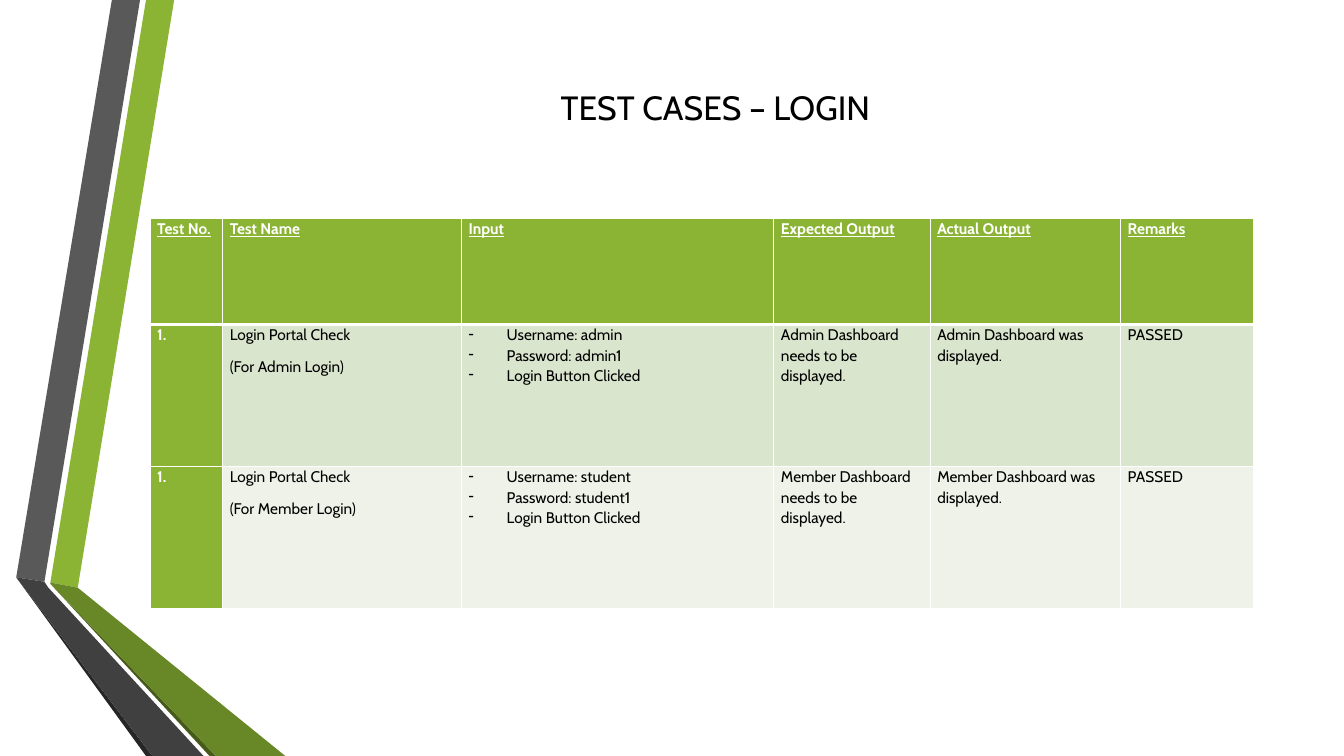
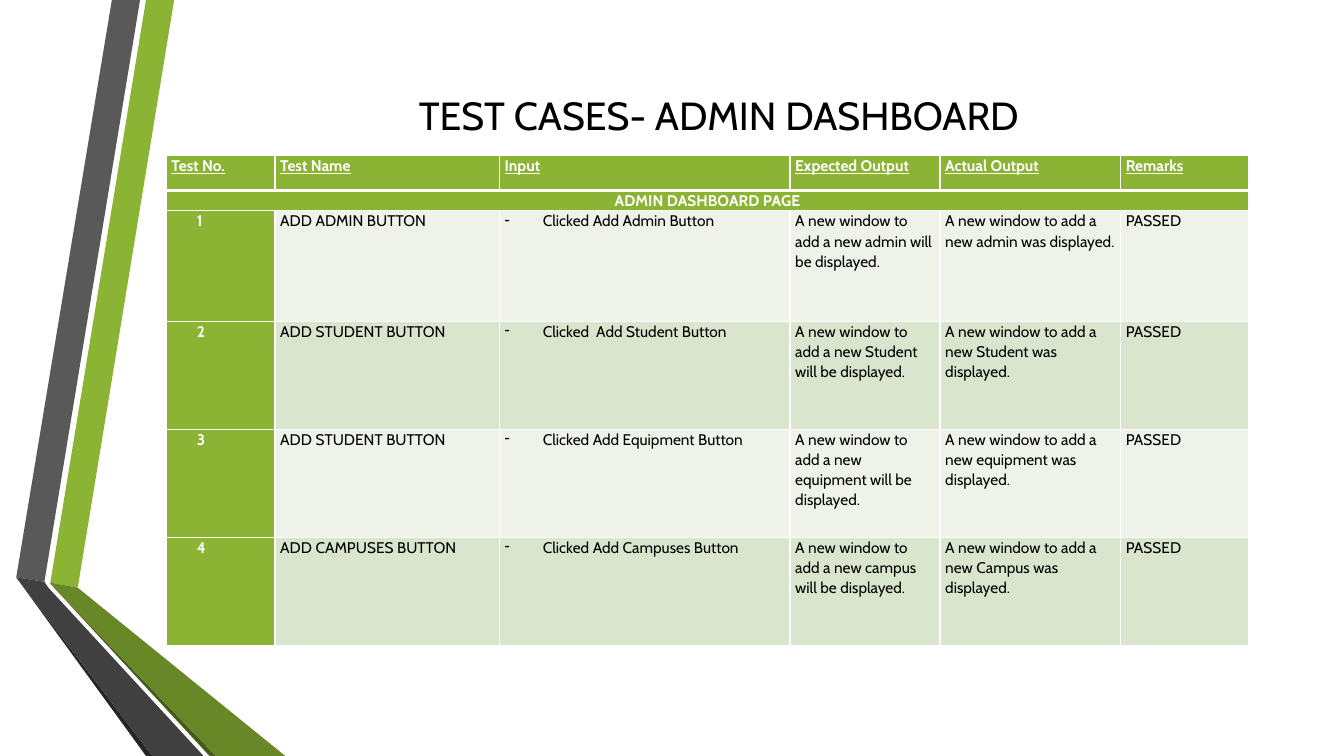
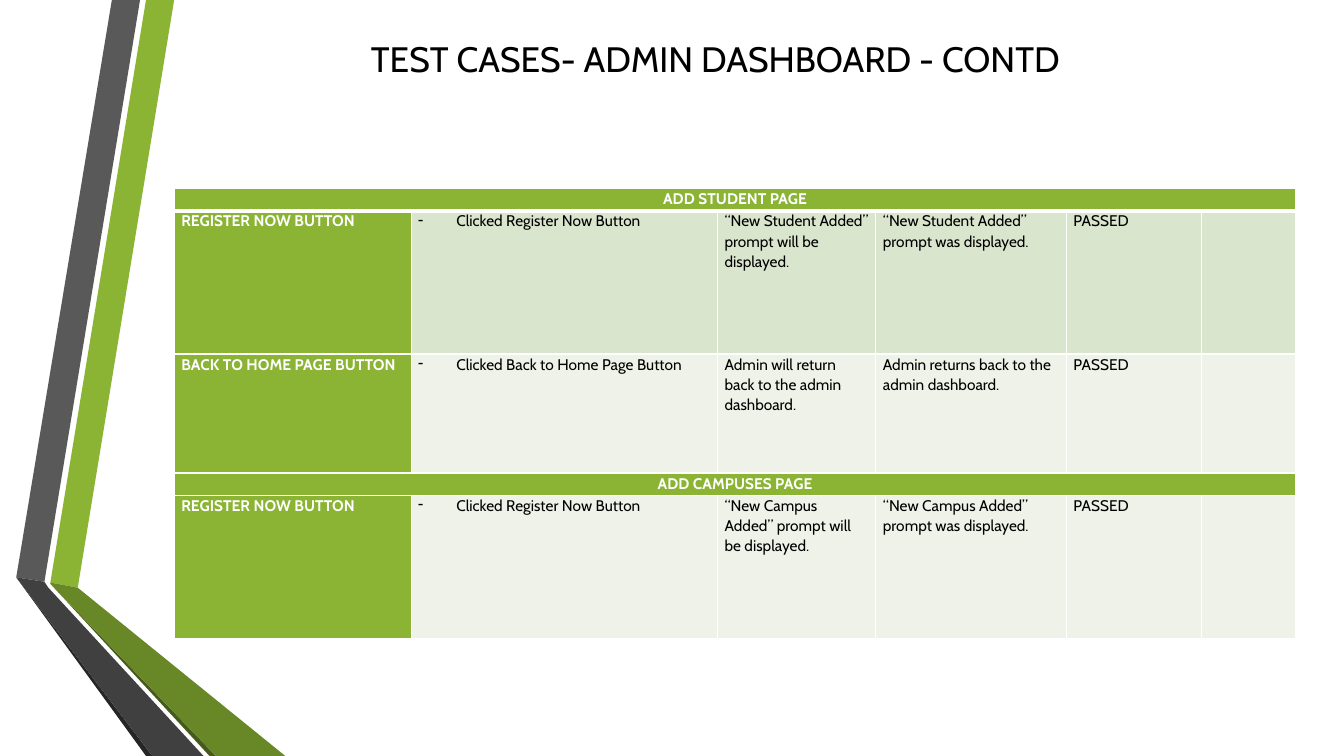
from lxml import etree
from pptx import Presentation, util as u
from pptx.dml.color import RGBColor
from pptx.enum import text
from pptx.oxml.ns import qn

FONT = "Cabin"
BLACK = RGBColor(0x00, 0x00, 0x00)
WHITE = RGBColor(0xFF, 0xFF, 0xFF)
GREEN = RGBColor(0x8B, 0xB4, 0x34)
OLIVE = RGBColor(0x68, 0x87, 0x27)
DARK_OLIVE = RGBColor(0x46, 0x5A, 0x1A)
GRAY = RGBColor(0x59, 0x59, 0x59)
DARK_GRAY = RGBColor(0x40, 0x40, 0x40)
CHARCOAL = RGBColor(0x26, 0x26, 0x26)
BANDS = (RGBColor(0xEE, 0xF2, 0xE8), RGBColor(0xDA, 0xE5, 0xCE))

HANGING = u.Cm(0.96)
THIN, THICK = u.Pt(1), u.Pt(3)

RIBBONS = [
    (GREEN, [(1.27, 14.68), (1.96, 14.81), (4.39, 0), (3.68, 0)]),
    (GRAY, [(3.53, 0), (2.82, 0), (0.41, 14.55), (1.12, 14.66)]),
    (CHARCOAL, [(0.41, 14.55), (3.68, 19.05), (3.84, 19.05)]),
    (DARK_OLIVE, [(1.27, 14.71), (5.28, 19.05), (5.44, 19.05)]),
    (OLIVE, [(1.27, 14.68), (1.27, 14.71), (5.44, 19.05), (7.19, 19.05), (1.96, 14.81)]),
    (DARK_GRAY, [(5.13, 19.05), (1.22, 14.81), (1.12, 14.66), (0.41, 14.55), (3.84, 19.05)]),
]

HEADER = ("Test No.", "Test Name", "Input", "Expected Output", "Actual Output", "Remarks")

SLIDES = [
    {
        "title": "TEST CASES – LOGIN", "size": 24, "title_box": (4.11, 1.9, 27.84, 1.57),
        "corner": (3.78, 5.51), "inset": 0.18, "number_indent": 0,
        "columns": (1.83, 6.02, 7.87, 3.94, 4.8, 3.35), "heights": (2.67, 3.58, 3.58),
        "rows": [
            HEADER,
            ("1.", "Login Portal Check\n(For Admin Login)",
             ["Username: admin", "Password: admin1", "Login Button Clicked"],
             "Admin Dashboard needs to be displayed.", "Admin Dashboard was displayed.", "PASSED"),
            ("1.", "Login Portal Check\n(For Member Login)",
             ["Username: student", "Password: student1", "Login Button Clicked"],
             "Member Dashboard needs to be displayed.", "Member Dashboard was displayed.", "PASSED"),
        ],
    },
    {
        "title": "TEST CASES- ADMIN DASHBOARD", "size": 28, "title_box": (4.19, 2.01, 27.84, 1.78),
        "corner": (4.19, 3.91), "inset": 0.13, "number_indent": 0.64,
        "columns": (2.74, 5.66, 7.32, 3.78, 4.55, 3.23),
        "heights": (0.89, 0.43, 2.79, 2.72, 2.72, 2.72),
        "rows": [
            HEADER,
            ("ADMIN DASHBOARD PAGE",),
            ("1", "ADD ADMIN BUTTON", ["Clicked Add Admin Button"],
             "A new window to add a new admin will be displayed.",
             "A new window to add a new admin was displayed.", "PASSED"),
            ("2", "ADD STUDENT BUTTON", ["Clicked  Add Student Button"],
             "A new window to add a new Student will be displayed.",
             "A new window to add a new Student was displayed.", "PASSED"),
            ("3", "ADD STUDENT BUTTON", ["Clicked Add Equipment Button"],
             "A new window to add a new equipment will be displayed.",
             "A new window to add a new equipment was displayed.", "PASSED"),
            ("4", "ADD CAMPUSES BUTTON", ["Clicked Add Campuses Button"],
             "A new window to add a new campus will be displayed.",
             "A new window to add a new Campus was displayed.", "PASSED"),
        ],
    },
    {
        "title": "TEST CASES- ADMIN DASHBOARD - CONTD", "size": 25.2,
        "title_box": (4.11, 0.91, 27.84, 1.12),
        "corner": (4.39, 4.75), "inset": 0.18, "number_indent": 0,
        "columns": (5.97, 7.72, 3.99, 4.8, 3.4, 2.39), "heights": (0.56, 3.61, 3, 0.56, 3.61),
        "rows": [
            ("ADD STUDENT PAGE",),
            ("REGISTER NOW BUTTON", ["Clicked Register Now Button"],
             "“New Student Added” prompt will be displayed.",
             "“New Student Added” prompt was displayed.", "PASSED", ""),
            ("BACK TO HOME PAGE BUTTON", ["Clicked Back to Home Page Button"],
             "Admin will return back to the admin dashboard.",
             "Admin returns back to the admin dashboard.", "PASSED", ""),
            ("ADD CAMPUSES PAGE",),
            ("REGISTER NOW BUTTON", ["Clicked Register Now Button"],
             "“New Campus Added” prompt will be displayed.",
             "“New Campus Added” prompt was displayed.", "PASSED", ""),
        ],
    },
]


def style_font(font, size, color, bold=False, underline=False):
    font.name = FONT
    font.size = u.Pt(size)
    font.color.rgb = color
    font.bold = bold
    font.underline = underline


def add_ribbons(page, layout):
    for depth, (color, points) in enumerate(RIBBONS, start=2):
        corners = [(u.Cm(x), u.Cm(y)) for x, y in points]
        builder = page.shapes.build_freeform(*corners[0])
        builder.add_line_segments(corners[1:], close=True)
        ribbon = builder.convert_to_shape()
        ribbon.shadow.inherit = False
        ribbon.fill.solid()
        ribbon.fill.fore_color.rgb = color
        ribbon.line.fill.background()
        layout.shapes.element.insert(depth, ribbon.element)


def set_title(page, content):
    title = page.shapes.title
    title.left, title.top, title.width, title.height = map(u.Cm, content["title_box"])
    frame = title.text_frame
    frame.text = content["title"]
    frame.word_wrap = True
    frame.auto_size = text.MSO_AUTO_SIZE.NONE
    frame.vertical_anchor = text.MSO_ANCHOR.MIDDLE
    para = frame.paragraphs[0]
    para.alignment = text.PP_ALIGN.CENTER
    style_font(para.runs[0].font, content["size"], BLACK)


def set_borders(cell, top, bottom):
    properties = cell._tc.get_or_add_tcPr()
    for order, (side, width) in enumerate((("L", THIN), ("R", THIN), ("T", top), ("B", bottom))):
        line = etree.Element(qn(f"a:ln{side}"), w=str(width))
        fill = etree.SubElement(line, qn("a:solidFill"))
        etree.SubElement(fill, qn("a:srgbClr"), val=str(WHITE))
        properties.insert(order, line)


def fill_cell(cell, value, strong, underline, centered, indent):
    bulleted = isinstance(value, list)
    lines = value if bulleted else value.split("\n")
    frame = cell.text_frame
    frame.text = "\n".join(lines)
    for para in frame.paragraphs:
        para.line_spacing = 1.07
        last = para.text == lines[-1]
        para.space_after = u.Pt(0 if bulleted and not last else 8)
        if centered:
            para.alignment = text.PP_ALIGN.CENTER
        properties = para._p.get_or_add_pPr()
        if bulleted:
            properties.set("marL", str(HANGING))
            properties.set("indent", str(-HANGING))
            etree.SubElement(properties, qn("a:buChar"), char="-")
        elif indent:
            properties.set("marL", str(u.Cm(indent)))
        for span in para.runs:
            style_font(span.font, 11, WHITE if strong else BLACK, strong, underline)


def add_test_table(page, content):
    rows, columns, heights = content["rows"], content["columns"], content["heights"]
    box = page.shapes.add_table(len(rows), len(columns), *map(u.Cm, content["corner"]),
                                u.Cm(sum(columns)), u.Cm(sum(heights)))
    table = box.table
    table.horz_banding = False
    for column, width in zip(table.columns, columns):
        column.width = u.Cm(width)
    for r, (values, height) in enumerate(zip(rows, heights)):
        table.rows[r].height = u.Cm(height)
        banner, header = len(values) == 1, values is HEADER
        if banner:
            table.cell(r, 0).merge(table.cell(r, len(columns) - 1))
        for c in range(len(columns)):
            cell = table.cell(r, c)
            cell.margin_left = cell.margin_right = u.Cm(content["inset"])
            cell.margin_top = cell.margin_bottom = 0
            strong = banner or header or c == 0
            cell.fill.solid()
            cell.fill.fore_color.rgb = GREEN if strong else BANDS[r % 2]
            set_borders(cell, THICK if r == 1 else THIN, THICK if r == 0 else THIN)
            if c < len(values):
                numbered = c == 0 and not (banner or header)
                fill_cell(cell, values[c], strong, header, banner,
                          content["number_indent"] if numbered else 0)


def main():
    deck = Presentation()
    deck.slide_width, deck.slide_height = u.Cm(33.87), u.Cm(19.05)
    layout = deck.slide_layouts.get_by_name("Title Only")
    for number, content in enumerate(SLIDES):
        page = deck.slides.add_slide(layout)
        if number == 0:
            add_ribbons(page, layout)
        set_title(page, content)
        add_test_table(page, content)
    deck.save("out.pptx")


if __name__ == "__main__":
    main()
